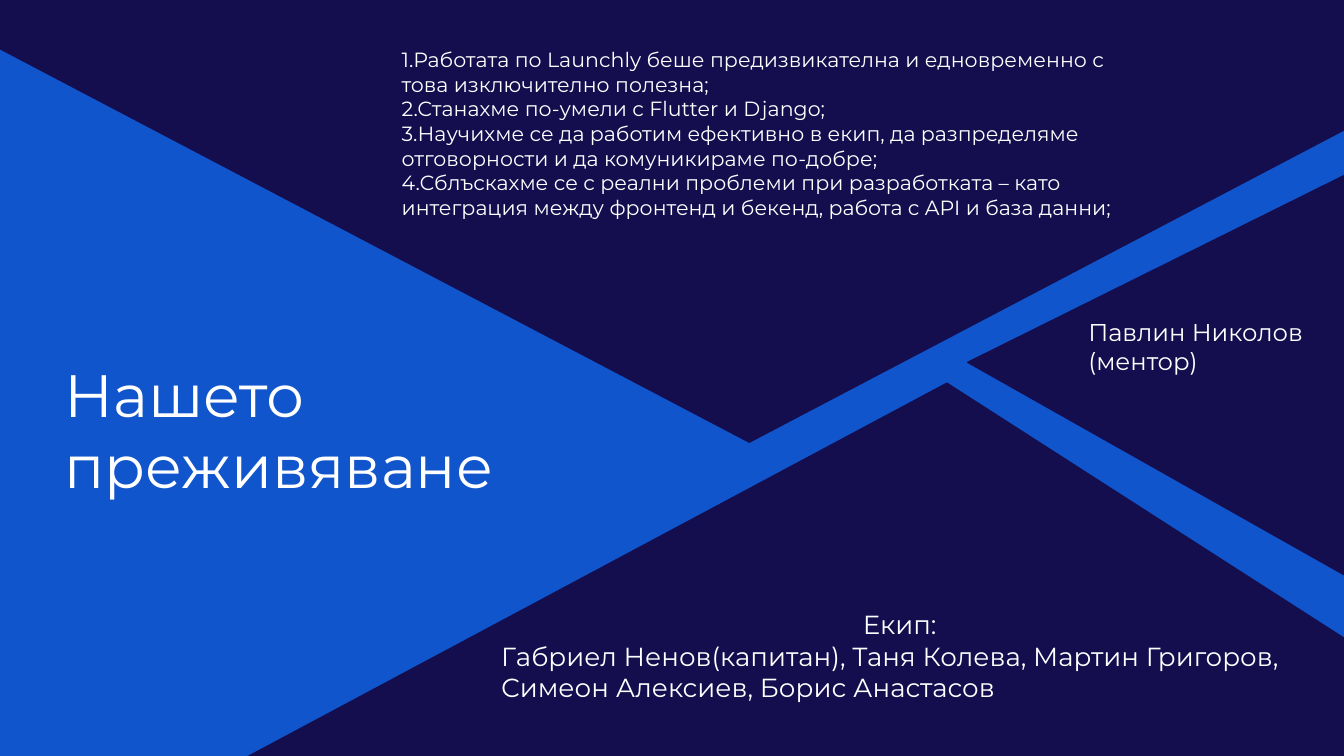
from dataclasses import dataclass

from pptx import Presentation
from pptx.dml.color import RGBColor
from pptx.enum.shapes import MSO_SHAPE
from pptx.enum.text import MSO_ANCHOR, MSO_AUTO_SIZE, PP_ALIGN
from pptx.util import Inches, Pt

TRIANGLE = MSO_SHAPE.ISOSCELES_TRIANGLE
RIGHT_TRIANGLE = MSO_SHAPE.RIGHT_TRIANGLE
LEFT, CENTER = PP_ALIGN.LEFT, PP_ALIGN.CENTER
TOP, FIXED_SIZE = MSO_ANCHOR.TOP, MSO_AUTO_SIZE.NONE
TITLE_ONLY = 5
COLUMNS, ROWS = 100, 56.25


@dataclass(frozen=True)
class Theme:
    background: RGBColor = RGBColor(0x11, 0x55, 0xCC)
    panel: RGBColor = RGBColor(0x14, 0x0E, 0x4E)
    text: RGBColor = RGBColor(0xFF, 0xFF, 0xFF)
    font: str = "Montserrat"
    title_size: float = 32
    lessons_size: float = 11
    mentor_size: float = 13
    team_size: float = 14
    outline: float = 0.75
    inset: float = 0.1


class SlideBuilder:
    """Places elements on a grid of COLUMNS by ROWS."""

    def __init__(self, deck, theme):
        self.theme = theme
        self.column = deck.slide_width / COLUMNS
        self.row = deck.slide_height / ROWS
        self.slide = deck.slides.add_slide(deck.slide_layouts[TITLE_ONLY])
        fill = self.slide.background.fill
        fill.solid()
        fill.fore_color.rgb = theme.background

    def place(self, left, top, width, height):
        """Turn columns and rows into slide lengths."""
        return (round(left * self.column), round(top * self.row),
                round(width * self.column), round(height * self.row))

    def panel(self, kind, area, rotation):
        panel = self.slide.shapes.add_shape(kind, *self.place(*area))
        panel.rotation = rotation
        panel.shadow.inherit = False
        panel.fill.solid()
        panel.fill.fore_color.rgb = self.theme.panel
        panel.line.color.rgb = self.theme.panel
        panel.line.width = Pt(self.theme.outline)

    def title(self, area, wording):
        heading = self.slide.shapes.title
        heading.left, heading.top, heading.width, heading.height = self.place(*area)
        # Bring the heading in front of the panels
        heading.element.getparent().append(heading.element)
        self.fill_text(heading.text_frame, [(wording, LEFT)], self.theme.title_size)

    def text(self, area, lines, size):
        box = self.slide.shapes.add_textbox(*self.place(*area))
        self.fill_text(box.text_frame, lines, size)

    def fill_text(self, frame, lines, size):
        inset = Inches(self.theme.inset)
        frame_format = {
            "word_wrap": True, "auto_size": FIXED_SIZE, "vertical_anchor": TOP,
            "margin_left": inset, "margin_right": inset,
            "margin_top": inset, "margin_bottom": inset,
        }
        for name, value in frame_format.items():
            setattr(frame, name, value)
        for index, (wording, alignment) in enumerate(lines):
            paragraph = frame.paragraphs[0] if index == 0 else frame.add_paragraph()
            paragraph.alignment = alignment
            run = paragraph.add_run()
            run.text = wording
            for name, value in {"name": self.theme.font, "size": Pt(size)}.items():
                setattr(run.font, name, value)
            run.font.color.rgb = self.theme.text


PANELS = [
    (TRIANGLE, (18.4, 28.5, 102.9, 30.2), 2.3),
    (RIGHT_TRIANGLE, (80.9, 17.3, 32.3, 47.6), 153.6),
    (TRIANGLE, (-6.9, 0, 125.3, 32.9), 180),
]
LESSONS = [
    "1.Работата по Launchly беше предизвикателна и едновременно с това изключително полезна;",
    "2.Станахме по-умели с Flutter и Django;",
    "3.Научихме се да работим ефективно в екип, да разпределяме отговорности "
    "и да комуникираме по-добре;",
    "4.Сблъскахме се с реални проблеми при разработката – като интеграция "
    "между фронтенд и бекенд, работа с API и база данни;",
]
MENTOR = ["Павлин Николов", "(ментор)"]
TEAM = [
    ("Екип:", CENTER),
    ("Габриел Ненов(капитан), Таня Колева, Мартин Григоров, "
     "Симеон Алексиев, Борис Анастасов", LEFT),
]


def main():
    deck = Presentation()
    deck.slide_width, deck.slide_height = Inches(10), Inches(5.625)
    theme = Theme()
    builder = SlideBuilder(deck, theme)
    for kind, area, rotation in PANELS:
        builder.panel(kind, area, rotation)
    builder.title((3.8, 25.6, 37.3, 9.9), "Нашето преживяване")
    builder.text((28.9, 2.5, 55.2, 17.4), [(line, LEFT) for line in LESSONS],
                 theme.lessons_size)
    builder.text((80, 22.6, 20.8, 11), [(line, LEFT) for line in MENTOR],
                 theme.mentor_size)
    builder.text((36.3, 44.3, 61.3, 9.9), TEAM, theme.team_size)
    deck.save("out.pptx")


if __name__ == "__main__":
    main()
